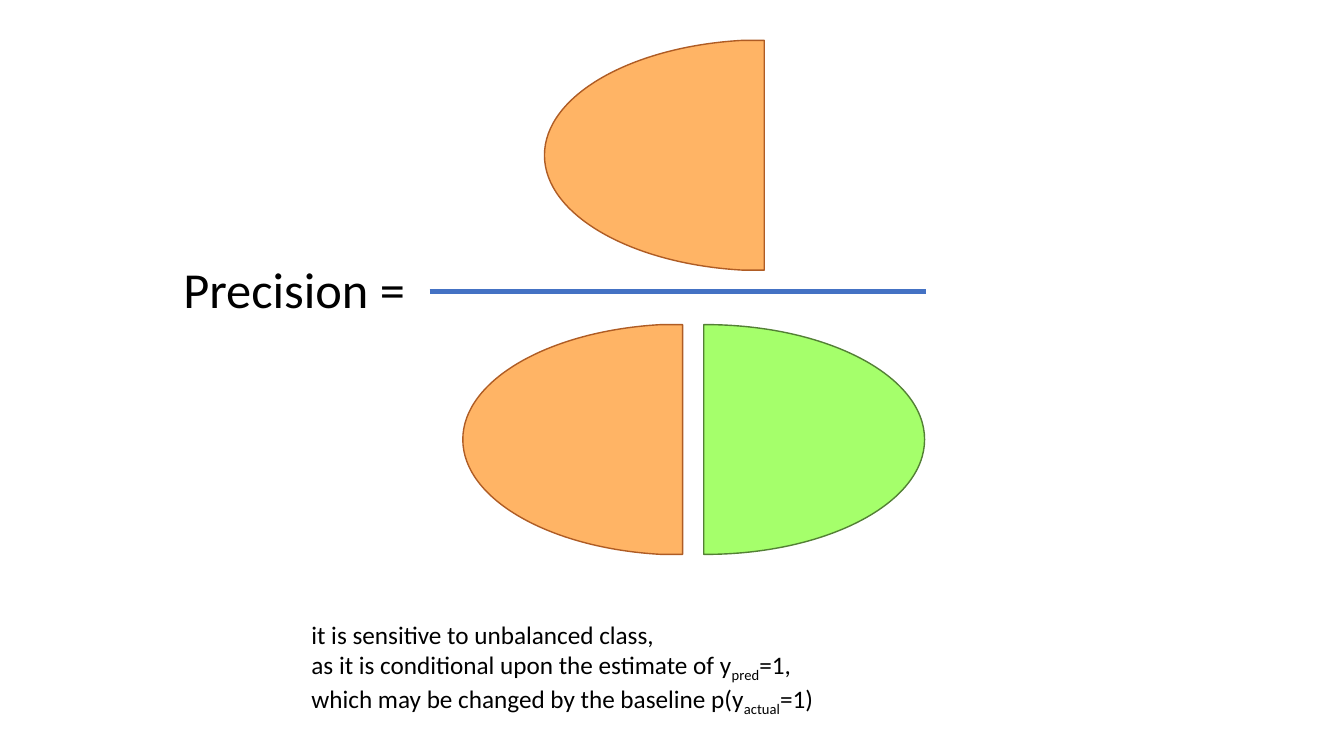
from lxml import etree
from pptx import Presentation
from pptx.dml.color import RGBColor
from pptx.enum import shapes, text
from pptx.oxml import ns
from pptx.util import Inches, Pt

ORANGE, ORANGE_EDGE = RGBColor(0xFF, 0xB4, 0x65), RGBColor(0xAF, 0x5C, 0x24)
GREEN, GREEN_EDGE = RGBColor(0xA5, 0xFF, 0x6B), RGBColor(0x53, 0x80, 0x35)
BLUE = RGBColor(0x44, 0x72, 0xC4)
BLACK = RGBColor(0, 0, 0)
HEIGHT = 2.28

# Start, bend and depth run out from the flat edge; lift and shoulder run in from top and bottom
ORANGE_HALF = dict(side=-1, start=0.21, bend=1.32, depth=2.18, lift=0.06, shoulder=0.55,
                   fill=ORANGE, edge=ORANGE_EDGE)
GREEN_HALF = dict(side=1, start=0.01, bend=1.22, depth=2.19, lift=0, shoulder=0.51,
                  fill=GREEN, edge=GREEN_EDGE)


def add_half_ellipse(page, flat_x, top, side, start, bend, depth, lift, shoulder, fill, edge):
    """Draw half an ellipse from its flat edge; side is -1 for left, 1 for right."""
    outline = [
        (0, HEIGHT), (start, HEIGHT),
        (bend, HEIGHT - lift), (depth, HEIGHT - shoulder), (depth, HEIGHT / 2),
        (depth, shoulder), (bend, lift), (start, 0),
    ]
    builder = page.shapes.build_freeform(Inches(flat_x), Inches(top))
    builder.add_line_segments(
        [(Inches(flat_x + side * x), Inches(top + y)) for x, y in outline], close=True)
    half = builder.convert_to_shape()

    # Past the two straight segments, each three points form one Bézier curve
    segments = list(half._element.iter(ns.qn("a:lnTo")))[2:]
    for first in range(0, len(segments), 3):
        curve = etree.Element(ns.qn("a:cubicBezTo"))
        segments[first].addprevious(curve)
        for segment in segments[first:first + 3]:
            curve.append(segment[0])
            segment.getparent().remove(segment)

    half.shadow.inherit = False
    half.fill.solid()
    half.fill.fore_color.rgb = fill
    half.line.color.rgb = edge
    half.line.width = Pt(1)


def add_text(page, lines, left, top, width, height, size=18, color=BLACK):
    """Add a box whose lines alternate plain and subscript spans."""
    box = page.shapes.add_textbox(Inches(left), Inches(top), Inches(width), Inches(height))
    box.text_frame.word_wrap = False
    box.text_frame.auto_size = text.MSO_AUTO_SIZE.SHAPE_TO_FIT_TEXT
    para = box.text_frame.paragraphs[0]
    for number, line in enumerate(lines):
        if number:
            para.add_line_break()
        for index, content in enumerate(line):
            span = para.add_run()
            span.text = content
            span.font.name = "Calibri"
            span.font.size = Pt(size)
            span.font.color.rgb = color
            if index % 2:
                span.font._element.set("baseline", "-25000")


deck = Presentation()
deck.slide_width, deck.slide_height = Inches(13.33), Inches(7.5)
page = deck.slides.add_slide(deck.slide_layouts[6])

# Numerator and fraction bar
add_half_ellipse(page, 7.58, 0.4, **ORANGE_HALF)
fraction_bar = page.shapes.add_connector(
    shapes.MSO_CONNECTOR.STRAIGHT, Inches(4.26), Inches(2.89), Inches(9.18), Inches(2.89))
fraction_bar.line.color.rgb = BLUE
fraction_bar.line.width = Pt(3.5)
etree.SubElement(fraction_bar._element.spPr, ns.qn("a:effectLst"))
add_text(page, [["Precision ="]], 1.72, 2.51, 2.54, 0.71, size=36)

# Denominator
add_half_ellipse(page, 6.98, 3.22, **GREEN_HALF)
add_half_ellipse(page, 6.77, 3.22, **ORANGE_HALF)

remark = [
    ["it is sensitive to unbalanced class, "],
    ["as it is conditional upon the estimate of y", "pred", "=1, "],
    ["which may be changed by the baseline p(y", "actual", "=1)"],
]
add_text(page, remark, 2.99, 6.09, 5.35, 1.01)

deck.save("out.pptx")
